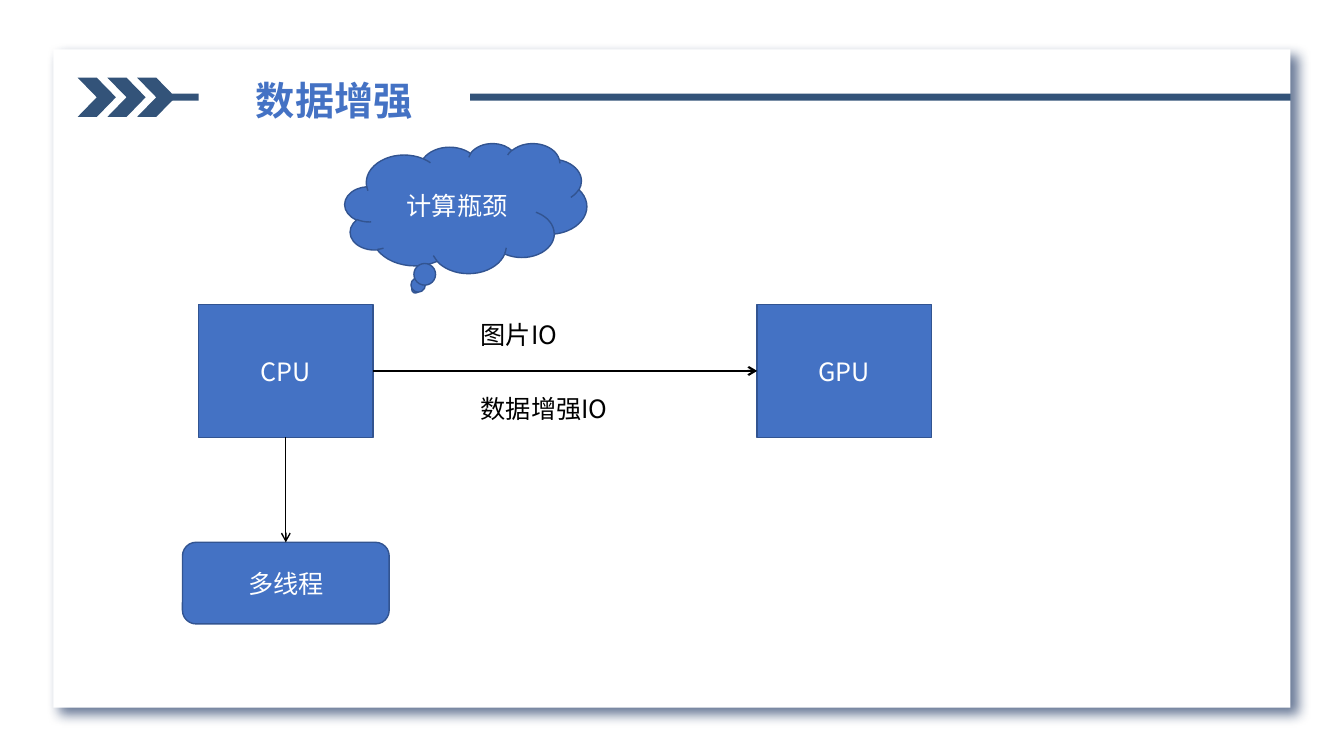
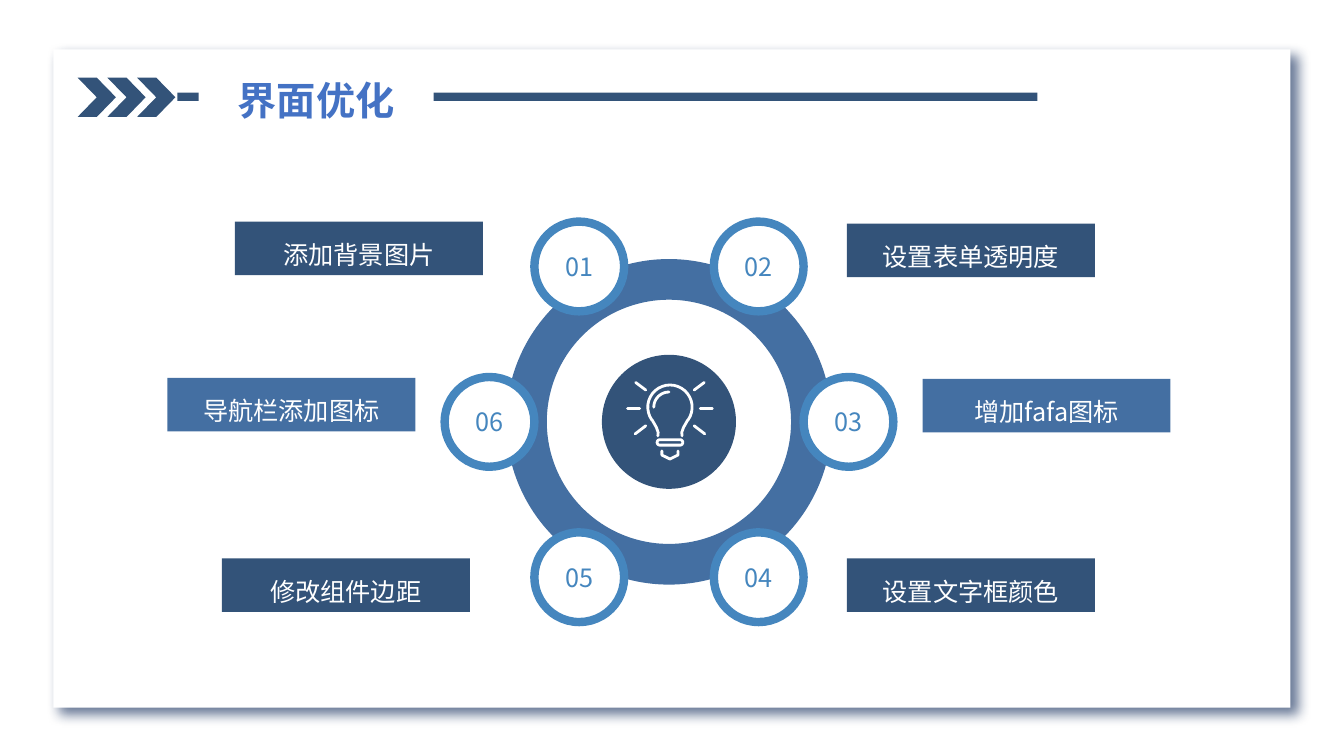
from dataclasses import dataclass
from math import cos, radians, sin

from lxml.etree import SubElement
from pptx import Presentation
from pptx.dml.color import RGBColor
from pptx.enum.shapes import MSO_CONNECTOR, MSO_SHAPE
from pptx.enum.text import MSO_ANCHOR, MSO_AUTO_SIZE, PP_ALIGN
from pptx.oxml.ns import qn
from pptx.util import Inches, Pt


@dataclass(frozen=True)
class Theme:
    font: str = "Noto Sans CJK SC"
    head: int = 28
    body: int = 18
    white: str = "FFFFFF"
    black: str = "000000"
    blue: str = "4472C4"
    edge: str = "325491"
    navy: str = "335379"
    mid: str = "446FA2"
    sky: str = "4586BE"
    shade: str = "203864"


THEME = Theme()
TOP, LEFT, BOTTOM, RIGHT = range(4)  # connection sites of a box
HUB = (6.635, 4.185)
ORBIT = 1.78

TAGS = [
    ("添加背景图片", 2.33, 2.2, THEME.navy),
    ("设置表单透明度", 8.4, 2.22, THEME.navy),
    ("增加fafa图标", 9.15, 3.76, THEME.mid),
    ("设置文字框颜色", 8.4, 5.54, THEME.navy),
    ("修改组件边距", 2.2, 5.54, THEME.navy),
    ("导航栏添加图标", 1.66, 3.75, THEME.mid),
]


def color(code):
    return RGBColor.from_string(code)


def write(shape, text, size=THEME.body, ink=THEME.white, bold=False,
          align=PP_ALIGN.CENTER, anchor=MSO_ANCHOR.MIDDLE, lead=None):
    frame = shape.text_frame
    frame.word_wrap = True
    frame.auto_size = MSO_AUTO_SIZE.NONE
    frame.vertical_anchor = anchor
    para = frame.paragraphs[0]
    para.alignment = align
    para.line_spacing = lead
    run = para.add_run()
    run.text = text
    font = run.font
    font.name, font.size, font.bold = THEME.font, Pt(size), bold
    font.color.rgb = color(ink)
    for props in shape.element.iter(qn("a:rPr")):
        SubElement(props, qn("a:ea"), typeface=THEME.font)


def paint(shape, fill=None, line=None, width=1):
    shape.shadow.inherit = False
    if fill:
        shape.fill.solid()
        shape.fill.fore_color.rgb = color(fill)
    else:
        shape.fill.background()
    if line:
        shape.line.color.rgb = color(line)
        shape.line.width = Pt(width)
    else:
        shape.line.fill.background()
    return shape


def block(slide, kind, box, fill, **line):
    shape = slide.shapes.add_shape(kind, *map(Inches, box))
    return paint(shape, fill, **line)


def disc(slide, kind, center, size, fill, **line):
    x, y = center
    box = (x - size / 2, y - size / 2, size, size)
    return block(slide, kind, box, fill, **line)


def trace(slide, paths, close):
    """Make one freeform from several lists of points."""
    pen = None
    for path in paths:
        first, *rest = [(Inches(x), Inches(y)) for x, y in path]
        if pen is None:
            pen = slide.shapes.build_freeform(*first)
        else:
            pen.move_to(*first)
        pen.add_line_segments(rest, close=close)
    return pen.convert_to_shape()


def arc(x, y, size, start, stop, steps=24):
    """Points on a circle, clockwise from the right."""
    turns = [radians(start + (stop - start) * i / steps)
             for i in range(steps + 1)]
    return [(x + size * cos(t), y + size * sin(t)) for t in turns]


def arrow(slide, tail, out, head, into, width):
    link = slide.shapes.add_connector(MSO_CONNECTOR.STRAIGHT, 0, 0, 0, 0)
    link.begin_connect(tail, out)
    link.end_connect(head, into)
    link.line.color.rgb = color(THEME.black)
    link.line.width = Pt(width)
    SubElement(link.element.find(".//" + qn("a:ln")), qn("a:tailEnd"),
               type="arrow")
    SubElement(link.element.spPr, qn("a:effectLst"))


def cast(shape):
    """Give the shape a soft shadow down to the right."""
    glow = shape.element.spPr.find(qn("a:effectLst"))
    outer = SubElement(glow, qn("a:outerShdw"), blurRad=str(Pt(9)),
                       dist=str(Pt(7)), dir=str(45 * 60000),
                       algn="tl", rotWithShape="0")
    tint = SubElement(outer, qn("a:srgbClr"), val=THEME.shade)
    SubElement(tint, qn("a:alpha"), val="67000")


def page(deck, text, wide, band):
    """Add a slide with its card, band, chevrons and title."""
    slide = deck.slides.add_slide(deck.slide_layouts[5])
    cast(block(slide, MSO_SHAPE.RECTANGLE, (0.53, 0.49, 12.27, 6.53),
               THEME.white))
    block(slide, MSO_SHAPE.RECTANGLE, band, THEME.navy)
    marks = []
    for i in range(3):
        x = 0.77 + 0.295 * i
        marks.append([(x, 0.77), (x + 0.19, 0.77), (x + 0.38, 0.965),
                      (x + 0.19, 1.16), (x, 1.16), (x + 0.19, 0.965)])
    paint(trace(slide, marks, True), THEME.navy)
    title = slide.shapes.title
    slide.shapes.element.append(title.element)
    title.left, title.top, title.width, title.height = map(
        Inches, (1.97, 0.71, wide, 0.57))
    title.fill.solid()
    title.fill.fore_color.rgb = color(THEME.white)
    write(title, text, size=THEME.head, ink=THEME.blue, bold=True,
          anchor=MSO_ANCHOR.TOP)
    return slide


def node(slide, kind, text, box):
    shape = block(slide, kind, box, THEME.blue, line=THEME.edge)
    write(shape, text)
    return shape


def note(slide, text, top):
    box = slide.shapes.add_textbox(*map(Inches, (4.67, top, 2.15, 0.4)))
    write(box, text, ink=THEME.black, align=PP_ALIGN.LEFT,
          anchor=MSO_ANCHOR.TOP)


def bulb(slide):
    x, y = HUB[0] + 0.01, HUB[1] - 0.145
    neck = [(0.175, 0.13), (0.135, 0.2), (0.117, 0.25), (0.12, 0.285)]
    glass = ([(x - dx, y + dy) for dx, dy in reversed(neck)]
             + arc(x, y, 0.22, 145, 395)
             + [(x + dx, y + dy) for dx, dy in neck])
    cap = (arc(x - 0.1, 4.39, 0.027, 90, 270)
           + arc(x + 0.1, 4.39, 0.027, -90, 90))
    cap.append(cap[0])
    foot = [(x - 0.08, 4.475), (x - 0.08, 4.515), (x, 4.555),
            (x + 0.08, 4.515), (x + 0.08, 4.475)]
    shine = arc(x - 0.01, y, 0.15, 180, 270)
    rays = [[(x + side * a, b), (x + side * c, d)]
            for side in (-1, 1)
            for a, b, c, d in [(0.24, 3.87, 0.34, 3.795),
                               (0.3, 4.05, 0.42, 4.05),
                               (0.24, 4.225, 0.345, 4.305)]]
    icon = paint(trace(slide, [glass, cap, foot, shine, *rays], False),
                 line=THEME.white, width=2)
    icon.element.find(".//" + qn("a:ln")).set("cap", "rnd")


def flow(deck):
    slide = page(deck, "数据增强", 2.69, (1.61, 0.93, 11.19, 0.07))
    rect = MSO_SHAPE.RECTANGLE
    gpu = node(slide, rect, "GPU", (7.51, 3.02, 1.73, 1.32))
    cpu = node(slide, rect, "CPU", (1.97, 3.02, 1.73, 1.32))
    node(slide, MSO_SHAPE.CLOUD_CALLOUT, "计算瓶颈", (3.42, 1.42, 2.4, 1.29))
    pool = node(slide, MSO_SHAPE.ROUNDED_RECTANGLE, "多线程",
                (1.81, 5.38, 2.05, 0.81))
    note(slide, "图片IO", 3.12)
    note(slide, "数据增强IO", 3.85)
    arrow(slide, cpu, RIGHT, gpu, LEFT, 1.5)
    arrow(slide, cpu, BOTTOM, pool, TOP, 1)


def wheel(deck):
    slide = page(deck, "界面优化", 2.33, (1.76, 0.92, 8.53, 0.08))
    ring = disc(slide, MSO_SHAPE.DONUT, HUB, 3.23, THEME.mid)
    ring.adjustments[0] = 0.125
    disc(slide, MSO_SHAPE.OVAL, HUB, 1.33, THEME.navy)
    bulb(slide)
    spots = arc(*HUB, ORBIT, -120, 180, steps=len(TAGS) - 1)
    for i, (spot, tag) in enumerate(zip(spots, TAGS), 1):
        badge = disc(slide, MSO_SHAPE.OVAL, spot, 0.89, THEME.white,
                     line=THEME.sky, width=6)
        write(badge, f"{i:02}", ink=THEME.sky)
        text, left, top, fill = tag
        label = block(slide, MSO_SHAPE.RECTANGLE, (left, top, 2.46, 0.53),
                      fill)
        write(label, text, anchor=MSO_ANCHOR.TOP, lead=1.42)


def main():
    deck = Presentation()
    deck.slide_width, deck.slide_height = Inches(13.33), Inches(7.5)
    flow(deck)
    wheel(deck)
    deck.save("out.pptx")


if __name__ == "__main__":
    main()
